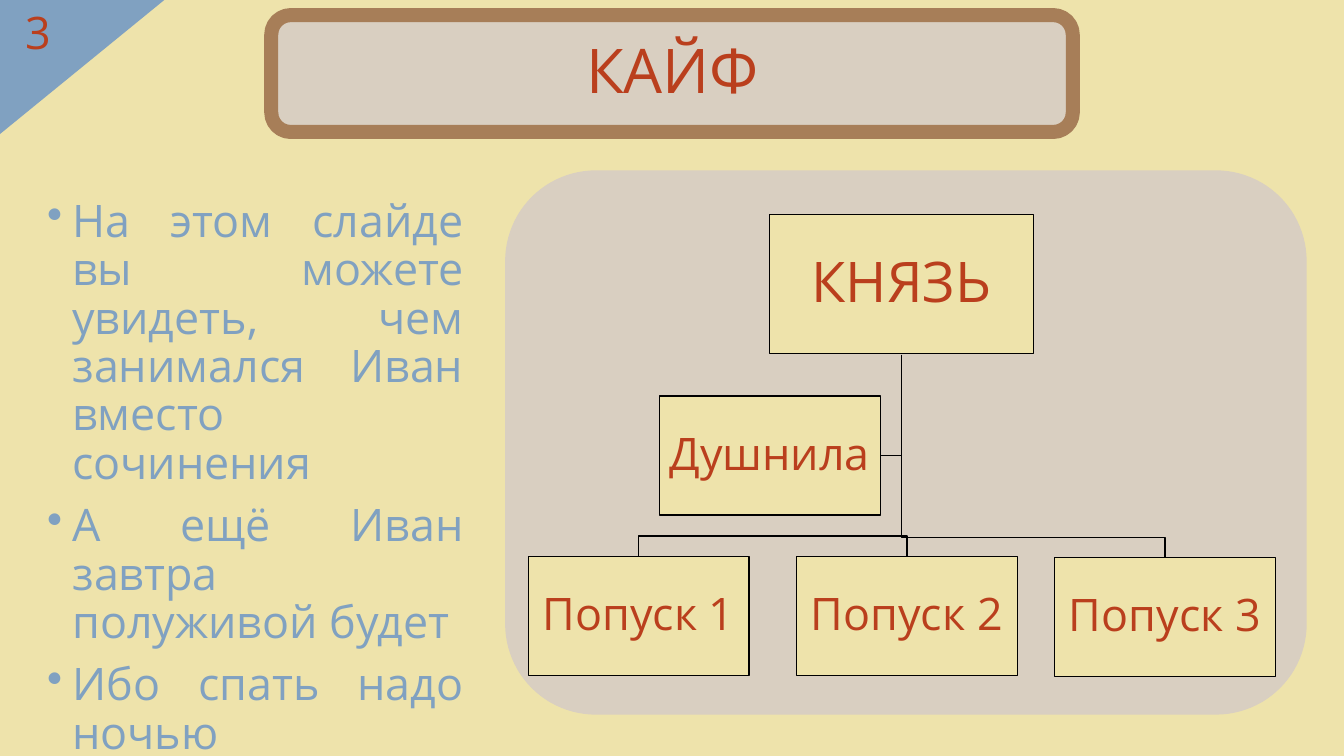
import pptx
import pptx.dml.color
import pptx.enum.shapes
import pptx.enum.text
import pptx.oxml
import pptx.oxml.ns
import pptx.util
from pptx.util import Inches

SHAPE = pptx.enum.shapes.MSO_SHAPE
ALIGN = pptx.enum.text.PP_ALIGN
ANCHOR = pptx.enum.text.MSO_ANCHOR
COLORS = {
    "sand": "EEE3AB", "blue": "80A1C1", "stone": "D9CFC1",
    "brown": "A77E58", "red": "BA3F1D", "black": "000000",
}


def rgb(name):
    """Return the named colour."""
    return pptx.dml.color.RGBColor.from_string(COLORS[name])


class SlideStyle:
    """Holds the style and the current slide."""

    font = "Open Sans"

    def __init__(self, s):
        """Keep the slide and paint its background."""
        self.s = s
        s.background.fill.solid()
        s.background.fill.fore_color.rgb = rgb("sand")

    def paint(self, sp, fill=None, line=None, width=1):
        """Set fill and line, and take the shadow away."""
        sp.shadow.inherit = False
        if fill:
            sp.fill.solid()
            sp.fill.fore_color.rgb = rgb(fill)
        else:
            sp.fill.background()
        if line:
            sp.line.color.rgb = rgb(line)
            sp.line.width = pptx.util.Pt(width)
        else:
            sp.line.fill.background()

    def shape(self, kind, box, fill, line=None, width=1):
        """Add a preset shape."""
        sp = self.s.shapes.add_shape(kind, *map(Inches, box))
        self.paint(sp, fill, line, width)
        return sp

    def label(self, sp, text, size, color="red", align=ALIGN.CENTER,
              anchor=ANCHOR.MIDDLE, spacing=0.9, wrap=True):
        """Put formatted text into a shape."""
        tf = sp.text_frame
        tf.text = text
        tf.word_wrap = wrap
        tf.vertical_anchor = anchor
        for p in tf.paragraphs:
            p.alignment = align
            p.line_spacing = spacing
            for r in p.runs:
                r.font.name = self.font
                r.font.size = pptx.util.Pt(size)
                r.font.color.rgb = rgb(color)
        return tf

    def text(self, box, text, size, **style):
        """Add a text box."""
        sp = self.s.shapes.add_textbox(*map(Inches, box))
        return self.label(sp, text, size, **style)

    def bullets(self, box, items, size, color):
        """Add a justified bullet list."""
        tf = self.text(box, "\n".join(items), size, color=color,
                       align=ALIGN.JUSTIFY, anchor=ANCHOR.TOP)
        for p in tf.paragraphs:
            p.space_before = pptx.util.Pt(10)
            pPr = p._p.get_or_add_pPr()
            pPr.set("marL", str(Inches(0.25)))
            pPr.set("indent", str(Inches(-0.25)))
            pPr.append(pptx.oxml.parse_xml(
                '<a:buChar %s char="•"/>' % pptx.oxml.ns.nsdecls("a")))

    def node(self, box, text, size, inset):
        """Add a box of the organisation chart."""
        sp = self.shape(SHAPE.RECTANGLE, box, "sand", "black")
        tf = self.label(sp, text, size)
        tf.margin_left = tf.margin_right = Inches(inset)
        tf.margin_top = tf.margin_bottom = Inches(inset)

    def elbow(self, points):
        """Add an open black line through the points."""
        start, *rest = [(Inches(x), Inches(y)) for x, y in points]
        fb = self.s.shapes.build_freeform(*start)
        fb.add_line_segments(rest, close=False)
        self.paint(fb.convert_to_shape(), line="black")


prs = pptx.Presentation()
prs.slide_width, prs.slide_height = Inches(13.33), Inches(7.5)
style = SlideStyle(prs.slides.add_slide(prs.slide_layouts[6]))

corner = style.shape(SHAPE.RIGHT_TRIANGLE, (0.15, -0.15, 1.33, 1.63), "blue")
corner.rotation = 90
style.shape(SHAPE.ROUNDED_RECTANGLE, (2.69, 0.15, 7.95, 1.16), "stone", "brown", 10)
style.text((0.15, 0, 0.79, 0.73), "3", 32, align=ALIGN.LEFT,
           anchor=ANCHOR.TOP, spacing=1.0, wrap=False)
style.shape(SHAPE.ROUNDED_RECTANGLE, (5.01, 1.69, 7.95, 5.4), "stone")
style.text((3, 0, 7.34, 1.45), "КАЙФ", 44)

TRUNK_X, TRUNK_Y = 8.94, 3.52
NODE_W, NODE_H, DROP = 2.19, 1.18, 0.2
AIDE_X, AIDE_Y = 6.54, 3.93
reports = [("Попуск 1", 5.24, 5.52), ("Попуск 2", 7.9, 5.52), ("Попуск 3", 10.46, 5.53)]

aide_mid = AIDE_Y + NODE_H / 2
style.elbow([(TRUNK_X, TRUNK_Y), (TRUNK_X, aide_mid), (AIDE_X + NODE_W, aide_mid)])
for name, x, y in reports:
    mid = x + NODE_W / 2
    style.elbow([(TRUNK_X, TRUNK_Y), (TRUNK_X, y - DROP), (mid, y - DROP), (mid, y)])

style.node((7.63, 2.13, 2.62, 1.38), "КНЯЗЬ", 40, 0.03)
for name, x, y in reports + [("Душнила", AIDE_X, AIDE_Y)]:
    style.node((x, y, NODE_W, NODE_H), name, 32, 0.02)

style.bullets((0.37, 1.92, 4.33, 4.99), [
    "На этом слайде вы можете увидеть, чем занимался Иван вместо сочинения",
    "А ещё Иван завтра полуживой будет",
    "Ибо спать надо ночью",
], 32, "blue")

prs.save("out.pptx")
